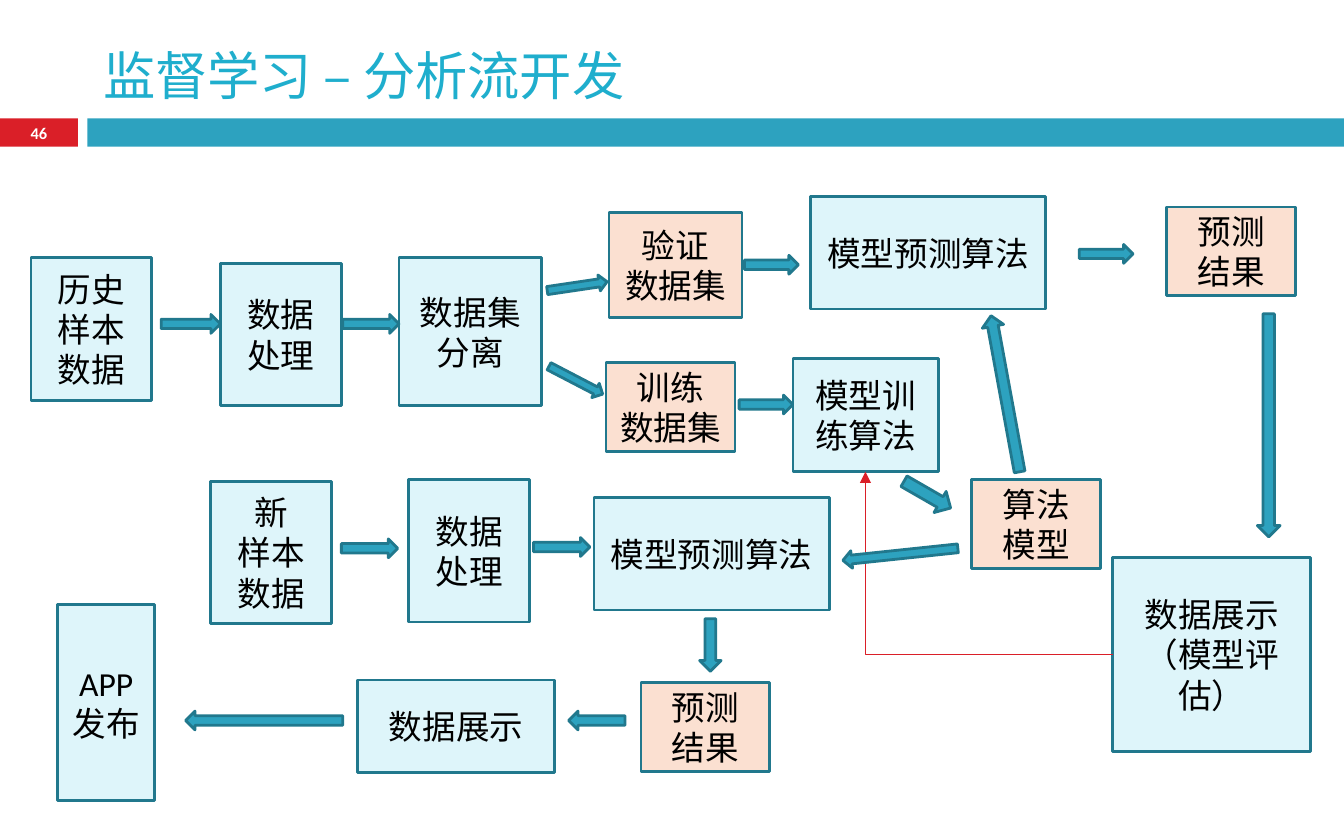
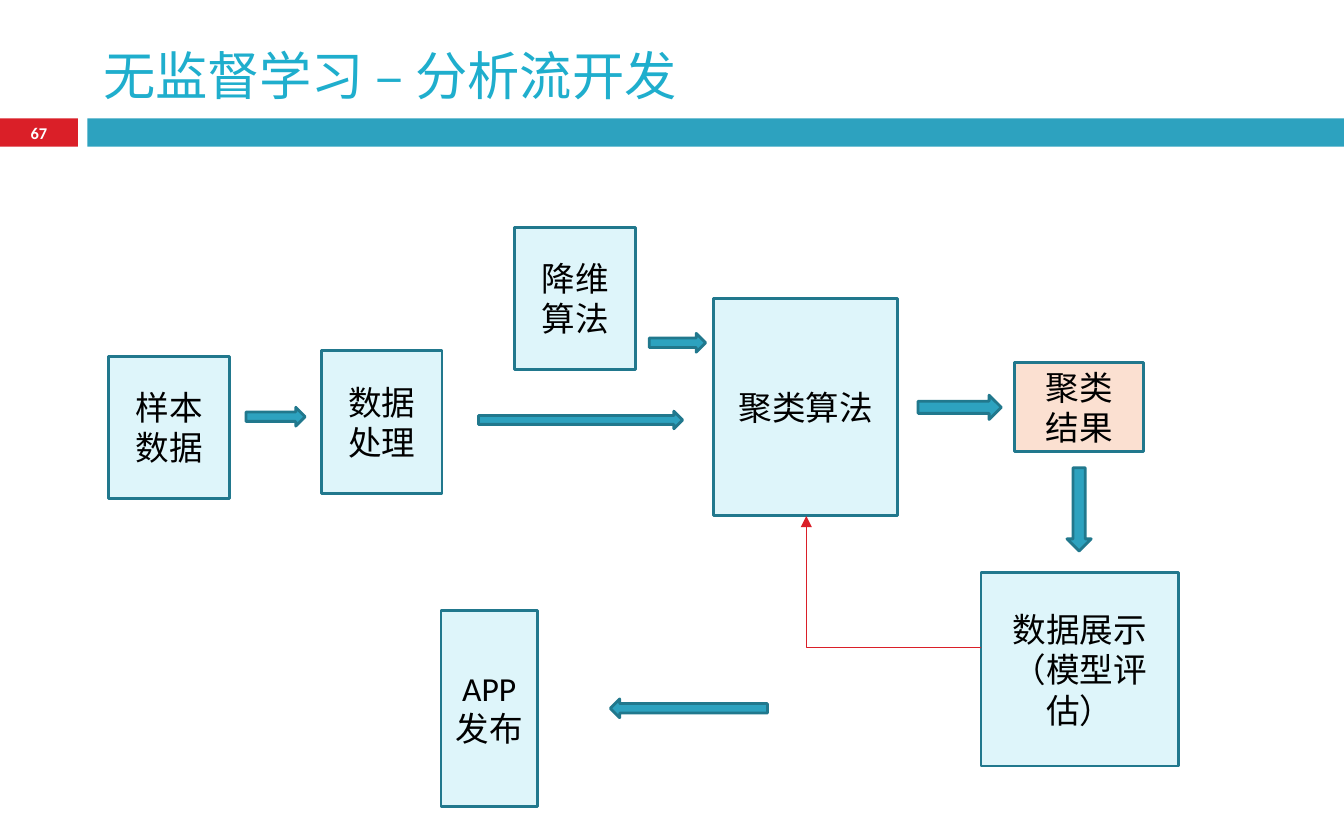
"""Build two flow diagrams: supervised and unsupervised analysis development."""
from dataclasses import dataclass

import lxml.etree
import pptx
import pptx.dml.color
import pptx.enum.shapes
import pptx.enum.text
import pptx.oxml.ns
import pptx.util

Pt = pptx.util.Pt
Shape = pptx.enum.shapes.MSO_SHAPE
Align = pptx.enum.text.PP_ALIGN
Anchor = pptx.enum.text.MSO_ANCHOR
qn = pptx.oxml.ns.qn


@dataclass(frozen=True)
class Theme:
    red: str = "DA1F28"
    teal: str = "2DA2BF"
    outline: str = "21788D"
    step: str = "DEF5FA"
    data: str = "FBE0D1"
    title: str = "1FAECD"
    ink: str = "000000"
    white: str = "FFFFFF"
    title_font: str = "Noto Sans CJK SC"
    body_font: str = "Calibri"
    title_size: float = 28
    body_size: float = 18
    number_size: float = 8.8
    outline_width: float = 1.5
    feedback_width: float = 0.79


theme = Theme()

TALL = (64.8, 76.3)
RESULT = (69.1, 47.5)
PREDICT = (126, 60.5)
REVIEW = (105.8, 103.7)
PUBLISH = (51.8, 105.1)
STEP, DATA = theme.step, theme.data

slides = [
    {
        "title": "监督学习 – 分析流开发",
        "number": "46",
        "boxes": [
            ("历史\n样本\n数据", 16.6, 138.2, TALL, STEP),
            ("数据\n处理", 118.1, 141.1, TALL, STEP),
            ("数据集\n分离", 213.8, 138.2, (76.3, 79.2), STEP),
            ("验证\n数据集", 326.2, 113.8, (71.3, 56.2), DATA),
            ("训练\n数据集", 324.7, 194.4, RESULT, DATA),
            ("模型预测算法", 434.2, 105.1, PREDICT, STEP),
            ("模型训练算法", 424.8, 192.2, (77.8, 60.5), STEP),
            ("算法\n模型", 520.6, 257, RESULT, DATA),
            ("预测\n结果", 625, 110.9, RESULT, DATA),
            ("数据展示\n（模型评估）", 596.2, 298.8, REVIEW, STEP),
            ("新\n样本\n数据", 113, 257.8, TALL, STEP),
            ("数据\n处理", 218.9, 257, TALL, STEP),
            ("模型预测算法", 318.2, 266.4, PREDICT, STEP),
            ("预测\n结果", 343.4, 365.8, RESULT, DATA),
            ("数据展示", 191.5, 364.3, (105.8, 49.7), STEP),
            ("APP发布", 31, 324, PUBLISH, STEP),
        ],
        "feedback": (596.2, 350.6, 463.7, 252.7),
        "arrows": [
            (86.4, 168.5, 31.7, 10.1, 0),
            (183.6, 168.5, 30.2, 10.1, 0),
            (293, 149, 32.4, 8.6, 351.6),
            (292.3, 199.4, 32.4, 8.6, 27.5),
            (398.9, 136.8, 28.8, 10.1, 0),
            (396, 211.7, 28.8, 10.1, 0),
            (482.4, 258.5, 28.8, 13, 29.9),
            (496.1, 205.2, 85, 11.5, 259.6),
            (578.2, 131, 28.8, 10.1, 0),
            (619.9, 221.8, 119.5, 12.2, 90),
            (182.9, 288.7, 30.2, 10.1, 0),
            (285.8, 288, 30.2, 10.1, 0),
            (451.4, 292.3, 61.9, 9.4, 174),
            (366.5, 339.8, 28.1, 11.5, 90),
            (304.6, 380.9, 30.2, 10.1, 180),
            (99.4, 380.9, 84.2, 10.1, 180),
        ],
    },
    {
        "title": "无监督学习 – 分析流开发",
        "number": "67",
        "boxes": [
            ("样本\n数据", 58.3, 190.8, TALL, STEP),
            ("数据\n处理", 172.1, 187.9, TALL, STEP),
            ("降维算法", 275.8, 121.7, TALL, STEP),
            ("聚类算法", 382.3, 159.8, (98.6, 116.6), STEP),
            ("聚类\n结果", 543.6, 194.4, RESULT, DATA),
            ("数据展示\n（模型评估）", 525.6, 306.7, REVIEW, STEP),
            ("APP发布", 236.2, 326.9, PUBLISH, STEP),
        ],
        "feedback": (525.6, 347, 432, 276.5),
        "arrows": [
            (131.8, 218.2, 31.7, 10.1, 0),
            (347.8, 178.6, 30.2, 10.1, 0),
            (256.3, 220.3, 109.4, 9.4, 0),
            (491.8, 211.7, 44.6, 13, 0),
            (555.8, 266.4, 44.6, 13, 90),
            (326.9, 374.4, 84.2, 10.1, 180),
        ],
    },
]


def add_block(page, kind, left, top, width, height, fill, outline=None):
    block = page.shapes.add_shape(kind, Pt(left), Pt(top), Pt(width), Pt(height))
    block.shadow.inherit = False
    block.fill.solid()
    block.fill.fore_color.rgb = pptx.dml.color.RGBColor.from_string(fill)
    if outline:
        block.line.color.rgb = pptx.dml.color.RGBColor.from_string(outline)
        block.line.width = Pt(theme.outline_width)
    else:
        block.line.fill.background()
    return block


def write_text(shape, text, size, color, font, align=Align.CENTER, anchor=Anchor.MIDDLE, bold=False):
    frame = shape.text_frame
    frame.word_wrap = True
    frame.vertical_anchor = anchor
    frame.text = text
    for para in frame.paragraphs:
        para.alignment = align
        para.font.size = Pt(size)
        para.font.name = font
        para.font.bold = bold
        para.font.color.rgb = pptx.dml.color.RGBColor.from_string(color)


deck = pptx.Presentation()
deck.slide_width, deck.slide_height = Pt(720), Pt(450)

for content in slides:
    page = deck.slides.add_slide(deck.slide_layouts[6])

    number_band = add_block(page, Shape.RECTANGLE, 0, 63.4, 41.8, 15.1, theme.red)
    write_text(number_band, content["number"], theme.number_size, theme.white, theme.body_font, bold=True)
    add_block(page, Shape.RECTANGLE, 46.8, 63.4, 673.2, 15.1, theme.teal)

    title_box = page.shapes.add_textbox(Pt(48.2), Pt(10.1), Pt(642.2), Pt(50.4))
    write_text(title_box, content["title"], theme.title_size, theme.title, theme.title_font,
               Align.LEFT, Anchor.BOTTOM)

    for text, left, top, (width, height), fill in content["boxes"]:
        box = add_block(page, Shape.RECTANGLE, left, top, width, height, fill, theme.outline)
        write_text(box, text, theme.body_size, theme.ink, theme.body_font)

    feedback = page.shapes.add_connector(
        pptx.enum.shapes.MSO_CONNECTOR.ELBOW, *[Pt(value) for value in content["feedback"]])
    feedback.line.color.rgb = pptx.dml.color.RGBColor.from_string(theme.red)
    feedback.line.width = Pt(theme.feedback_width)
    properties = feedback._element.spPr
    properties.find(qn("a:prstGeom")).set("prst", "bentConnector2")
    lxml.etree.SubElement(properties.find(qn("a:ln")), qn("a:tailEnd"), type="triangle")
    lxml.etree.SubElement(properties, qn("a:effectLst"))

    for left, top, width, height, rotation in content["arrows"]:
        arrow = add_block(page, Shape.RIGHT_ARROW, left, top, width, height, theme.teal, theme.outline)
        arrow.rotation = rotation

deck.save("out.pptx")
